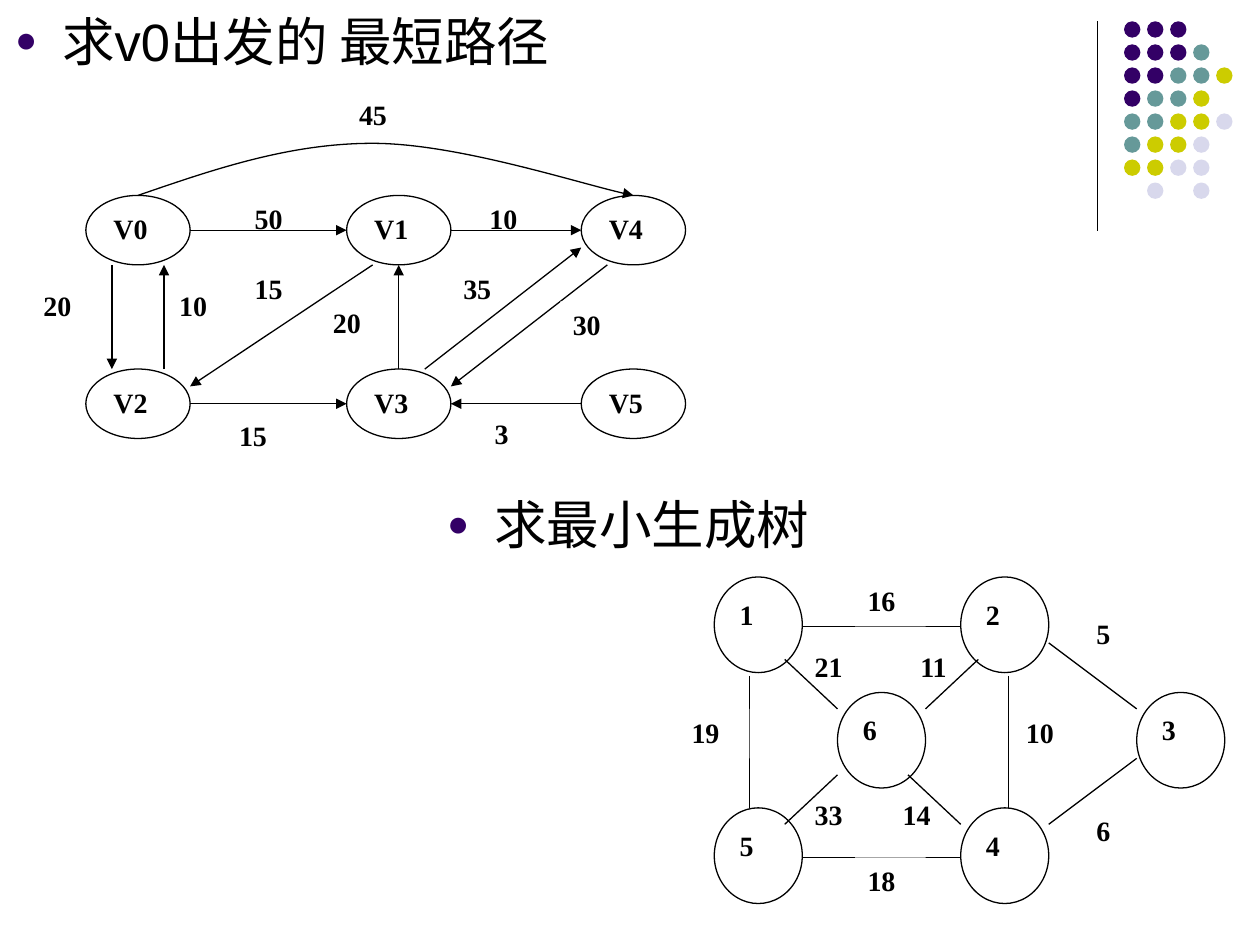
from dataclasses import dataclass

from lxml.etree import SubElement
from pptx import Presentation
from pptx.dml.color import RGBColor
from pptx.enum.shapes import MSO_CONNECTOR, MSO_SHAPE
from pptx.enum.text import MSO_ANCHOR, MSO_AUTO_SIZE, PP_ALIGN
from pptx.oxml.ns import qn
from pptx.util import Cm, Pt

BLACK = RGBColor(0x00, 0x00, 0x00)
WHITE = RGBColor(0xFF, 0xFF, 0xFF)
PURPLE = RGBColor(0x33, 0x00, 0x66)
TEAL = RGBColor(0x66, 0x99, 0x99)
YELLOW = RGBColor(0xCC, 0xCC, 0x00)
LAVENDER = RGBColor(0xD8, 0xD8, 0xEC)

DOT_COLORS = {"P": PURPLE, "T": TEAL, "Y": YELLOW, "L": LAVENDER}
DOT_ROWS = ["PPP", "PPPT", "PPTTY", "PTTY", "TTYYL", "TYYL", "YYLL", " L L"]
DOT_PITCH = 3.25 / 7


@dataclass
class Grid:
    """Maps the column and row units of a graph to lengths on the slide."""
    left: float
    top: float
    column: float
    row: float
    node_size: tuple
    label_size: tuple

    def point(self, x, y):
        return Cm(self.left + x * self.column), Cm(self.top + y * self.row)

    def size(self, width, height):
        return Cm(width * self.column), Cm(height * self.row)


PATH_GRID = Grid(1.73, 3.94, 12.09 / 23, 0.35, (4, 4), (3, 3))
PATH_NODES = [("V0", 0, 0), ("V1", 10, 0), ("V4", 19, 0),
              ("V2", 0, 10), ("V3", 10, 10), ("V5", 19, 10)]
PATH_EDGES = [(4, 2, 10, 2), (14, 2, 19, 2), (1, 4, 1, 10), (11, 4, 4, 11),
              (4, 12, 10, 12), (12, 10, 12, 4), (19, 12, 14, 12),
              (3, 10, 3, 4), (13, 10, 19, 3), (20, 4, 14, 11)]
PATH_BACK_LABELS = [("35", 14, 4), ("15", 6, 4), ("20", 9, 6),
                    ("50", 6, 0), ("10", 15, 0)]
PATH_FRONT_LABELS = [("45", 10, -6), ("20", -2.1, 5), ("10", 3.1, 5),
                     ("30", 18.2, 6.1), ("15", 5.4, 12.5), ("3", 15.2, 12.4)]
PATH_CURVE_START = (2, 0)
PATH_CURVE = [((4.9, -1.5), (7.8, -3), (11, -3)),
              ((14.2, -3), (19.3, -0.5), (21, 0))]

TREE_GRID = Grid(14.4, 11.63, 10.29 / 29, 6.65 / 20, (5, 5.8), (4, 3))
TREE_NODES = [("1", 0, 0), ("3", 24, 7), ("6", 7, 7),
              ("5", 0, 14), ("4", 14, 14), ("2", 14, 0)]
TREE_EDGES = [(5, 3, 14, 3), (2, 6, 2, 14), (5, 17, 14, 17), (16.7, 6, 16.7, 14),
              (4, 5, 7, 8), (11, 12, 14, 15), (7, 12, 4, 15), (15, 5, 12, 8),
              (19, 4, 24, 8), (19, 15, 24, 11)]
TREE_BACK_LABELS = [("14", 10, 13), ("33", 5, 13), ("21", 5, 4), ("11", 11, 4)]
TREE_FRONT_LABELS = [("16", 8, 0), ("18", 8, 17), ("19", -2, 8),
                     ("10", 17, 8), ("5", 21, 2), ("6", 21, 14)]


def add_plain_shape(slide, kind, position, size, color):
    shape = slide.shapes.add_shape(kind, *position, *size)
    shape.shadow.inherit = False
    shape.fill.solid()
    shape.fill.fore_color.rgb = color
    shape.line.fill.background()
    return shape


def set_outline(line):
    line.color.rgb = BLACK
    line.width = Pt(0.75)


def add_arrowhead(line):
    SubElement(line._get_or_add_ln(), qn("a:tailEnd"), type="triangle")


def add_line(slide, start, end, arrow=False):
    connector = slide.shapes.add_connector(MSO_CONNECTOR.STRAIGHT, *start, *end)
    set_outline(connector.line)
    if arrow:
        add_arrowhead(connector.line)
    SubElement(connector._element.spPr, qn("a:effectLst"))


def add_curved_arrow(slide, grid, start, segments):
    """Draw Bezier segments, each given as two control points and an end."""
    builder = slide.shapes.build_freeform(*grid.point(*start))
    builder.add_line_segments([grid.point(*end) for *_, end in segments], close=False)
    shape = builder.convert_to_shape()
    steps = list(shape._element.iter(qn("a:lnTo")))
    for step, (*controls, _) in zip(steps, segments):
        step.tag = qn("a:cubicBezTo")
        for index, control in enumerate(controls):
            x, y = grid.point(*control)
            point = SubElement(step, qn("a:pt"), x=str(x - shape.left), y=str(y - shape.top))
            step.insert(index, point)
    shape.shadow.inherit = False
    shape.fill.background()
    set_outline(shape.line)
    add_arrowhead(shape.line)


def add_caption(slide, grid, kind, caption, size):
    text, x, y = caption
    shape = add_plain_shape(slide, kind, grid.point(x, y), grid.size(*size), WHITE)
    text_frame = shape.text_frame
    text_frame.word_wrap = True
    text_frame.vertical_anchor = MSO_ANCHOR.TOP
    text_frame.text = text
    paragraph = text_frame.paragraphs[0]
    paragraph.alignment = PP_ALIGN.JUSTIFY
    font = paragraph.runs[0].font
    font.name = "Times New Roman"
    font.size = Pt(16)
    font.bold = True
    font.color.rgb = BLACK
    return shape


def add_labels(slide, grid, labels):
    for label in labels:
        add_caption(slide, grid, MSO_SHAPE.RECTANGLE, label, grid.label_size)


def add_graph(slide, grid, nodes, edges, back_labels, front_labels, arrows=False):
    add_labels(slide, grid, back_labels)
    for node in nodes:
        shape = add_caption(slide, grid, MSO_SHAPE.OVAL, node, grid.node_size)
        set_outline(shape.line)
    for x1, y1, x2, y2 in edges:
        add_line(slide, grid.point(x1, y1), grid.point(x2, y2), arrows)
    add_labels(slide, grid, front_labels)


def fill_task(placeholder, text, left, top, width, height):
    placeholder.left, placeholder.top = Cm(left), Cm(top)
    placeholder.width, placeholder.height = Cm(width), Cm(height)
    text_frame = placeholder.text_frame
    text_frame.auto_size = MSO_AUTO_SIZE.NONE
    text_frame.text = text
    paragraph = text_frame.paragraphs[0]
    properties = paragraph._p.get_or_add_pPr()
    properties.set("marL", str(Cm(0.95)))
    properties.set("indent", str(-Cm(0.95)))
    bullet_color = SubElement(properties, qn("a:buClr"))
    SubElement(bullet_color, qn("a:srgbClr"), val=str(PURPLE))
    SubElement(properties, qn("a:buSzPct"), val="70000")
    SubElement(properties, qn("a:buChar"), char="●")
    paragraph.space_before = Pt(0)
    font = paragraph.runs[0].font
    font.name = "Arial"
    font.size = Pt(30)
    font.color.rgb = BLACK


def add_dot_pattern(slide):
    add_line(slide, (Cm(22.12), Cm(0.43)), (Cm(22.12), Cm(4.65)))
    for row, colors in enumerate(DOT_ROWS):
        for column, key in enumerate(colors):
            if key in DOT_COLORS:
                position = Cm(22.66 + column * DOT_PITCH), Cm(0.43 + row * DOT_PITCH)
                add_plain_shape(slide, MSO_SHAPE.OVAL, position,
                                (Cm(0.33), Cm(0.33)), DOT_COLORS[key])


def main():
    presentation = Presentation()
    presentation.slide_width, presentation.slide_height = Cm(25.4), Cm(19.05)
    slide = presentation.slides.add_slide(presentation.slide_layouts[3])
    title, path_task, tree_task = list(slide.placeholders)[:3]
    title._element.getparent().remove(title._element)
    fill_task(path_task, "求v0出发的 最短路径", 0.05, 0.05, 19.84, 8.41)
    fill_task(tree_task, "求最小生成树", 8.76, 9.8, 15.49, 8.33)
    add_dot_pattern(slide)
    add_graph(slide, PATH_GRID, PATH_NODES, PATH_EDGES,
              PATH_BACK_LABELS, PATH_FRONT_LABELS, arrows=True)
    add_curved_arrow(slide, PATH_GRID, PATH_CURVE_START, PATH_CURVE)
    add_graph(slide, TREE_GRID, TREE_NODES, TREE_EDGES,
              TREE_BACK_LABELS, TREE_FRONT_LABELS)
    presentation.save("out.pptx")


if __name__ == "__main__":
    main()
